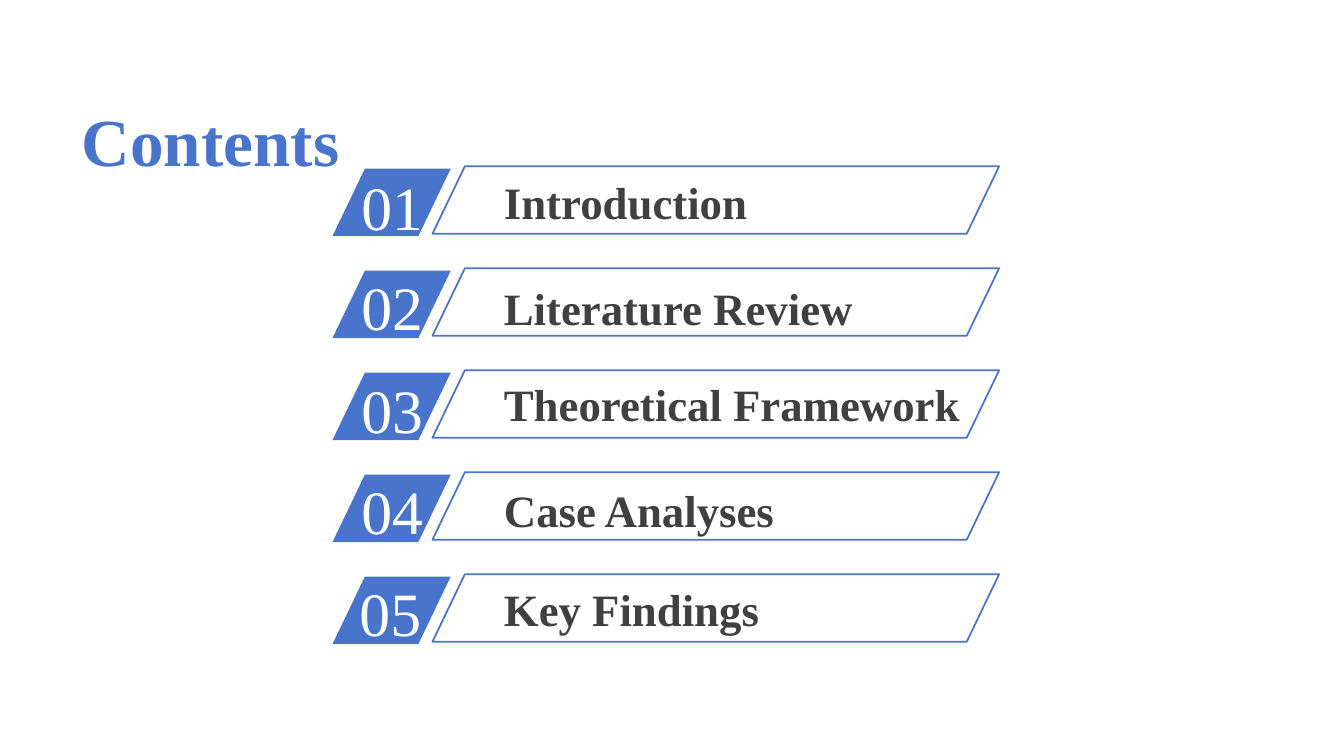
from dataclasses import dataclass

from pptx import Presentation
from pptx.dml.color import RGBColor
from pptx.enum.shapes import MSO_SHAPE
from pptx.enum.text import MSO_ANCHOR, MSO_AUTO_SIZE, PP_ALIGN
from pptx.util import Cm, Pt

SLANT = MSO_SHAPE.PARALLELOGRAM
TOP, MIDDLE = MSO_ANCHOR.TOP, MSO_ANCHOR.MIDDLE
LEFT, CENTER = PP_ALIGN.LEFT, PP_ALIGN.CENTER
FIXED, GROW = MSO_AUTO_SIZE.NONE, MSO_AUTO_SIZE.SHAPE_TO_FIT_TEXT


@dataclass(frozen=True)
class Theme:
    blue: RGBColor = RGBColor(0x48, 0x74, 0xCB)
    gray: RGBColor = RGBColor(0x40, 0x40, 0x40)
    white: RGBColor = RGBColor(0xFF, 0xFF, 0xFF)
    font: str = "Times New Roman"
    title: int = 48
    number: int = 44
    label: int = 32


THEME = Theme()
FIRST, PITCH = 4.25, 2.57

ROWS = [
    ("Introduction", 8.86, 4.14, 4.27, 10.46, 1.63, GROW),
    ("Literature Review", 8.86, 6.65, 6.96, 10.46, 1.63, GROW),
    ("Theoretical Framework", 8.86, 9.25, 9.38, 13.61, 1.37, FIXED),
    ("Case Analyses", 8.86, 11.79, 12.04, 10.46, 1.63, GROW),
    ("Key Findings", 8.81, 14.36, 14.53, 12.34, 1.52, FIXED),
]


def write(frame, text, *, size, color, bold=False, align=LEFT,
          anchor=TOP, fit=GROW, space=None):
    frame.word_wrap = True
    frame.auto_size = fit
    frame.vertical_anchor = anchor
    line = frame.paragraphs[0]
    line.alignment = align
    line.line_spacing = space
    run = line.add_run()
    run.text = text
    run.font.name = THEME.font
    run.font.size = Pt(size)
    run.font.bold = bold
    run.font.color.rgb = color


def add_text(slide, box, text, **style):
    shape = slide.shapes.add_textbox(*map(Cm, box))
    write(shape.text_frame, text, **style)


def add_slant(slide, box, filled):
    shape = slide.shapes.add_shape(SLANT, *map(Cm, box))
    shape.adjustments[0] = 0.48
    shape.shadow.inherit = False
    if filled:
        shape.fill.solid()
        shape.fill.fore_color.rgb = THEME.blue
        shape.line.fill.background()
    else:
        shape.fill.background()
        shape.line.color.rgb = THEME.blue
        shape.line.width = Pt(1.25)


def add_title(slide, box, text):
    title = slide.shapes.title
    title.left, title.top, title.width, title.height = map(Cm, box)
    write(title.text_frame, text, size=THEME.title, color=THEME.blue,
          bold=True, align=CENTER, anchor=MIDDLE, fit=FIXED, space=0.9)


def add_row(slide, index, row):
    text, num_x, num_y, top, width, height, fit = row
    y = FIRST + index * PITCH
    add_slant(slide, (8.38, y, 2.98, 1.7), True)
    add_text(slide, (num_x, num_y, 2.84, 2.13), f"{index + 1:02}",
             size=THEME.number, color=THEME.white)
    add_text(slide, (12.45, top, width, height), text,
             size=THEME.label, color=THEME.gray, bold=True, fit=fit)
    add_slant(slide, (10.9, y - 0.06, 14.28, 1.7), False)


def main():
    deck = Presentation()
    deck.slide_width, deck.slide_height = Cm(33.87), Cm(19.05)
    slide = deck.slides.add_slide(deck.slide_layouts[5])
    add_title(slide, (1.31, 2.54, 8, 2.21), "Contents")
    for index, row in enumerate(ROWS):
        add_row(slide, index, row)
    deck.save("out.pptx")


if __name__ == "__main__":
    main()
